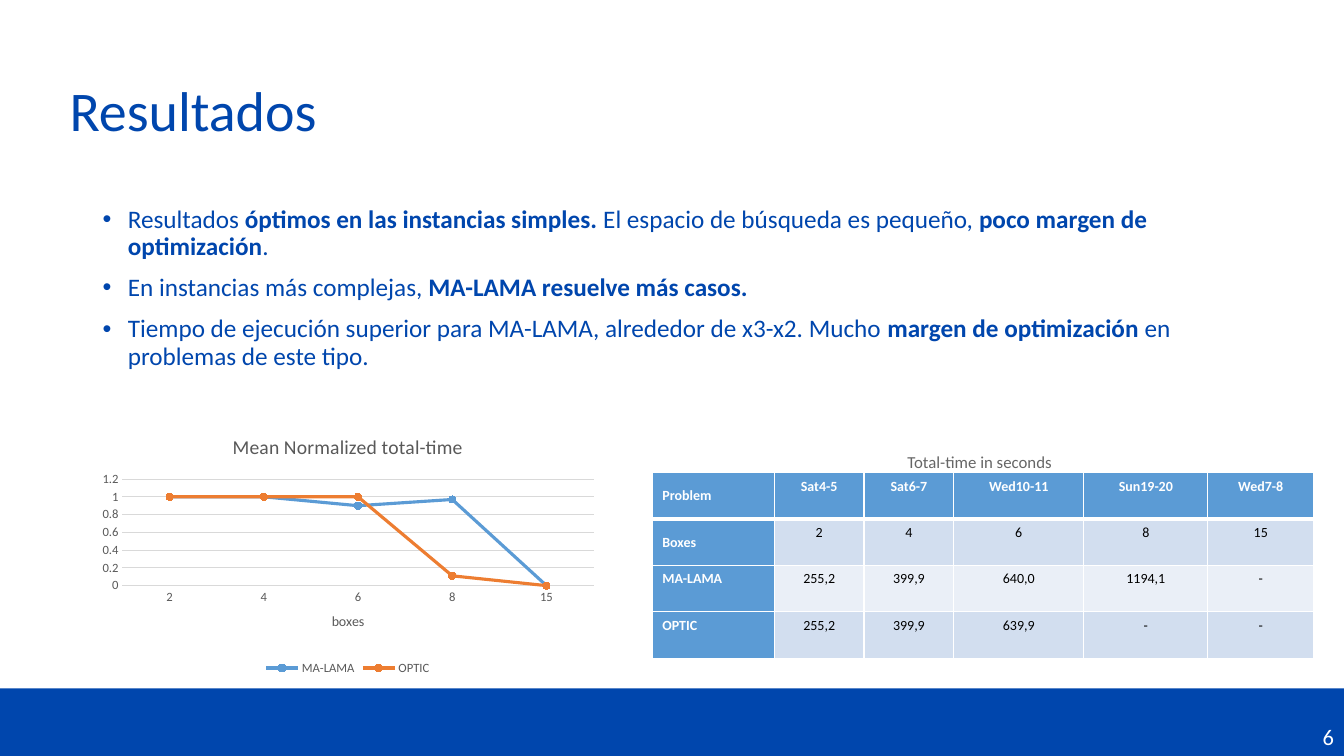
from lxml import etree
from pptx import Presentation
from pptx.chart import data as chart_data
from pptx.dml.color import RGBColor
from pptx.enum import chart as ch, shapes, text
from pptx.oxml import ns
from pptx.util import Inches, Pt

FONT = "Calibri"
BLUE = RGBColor(0x00, 0x46, 0xAD)
WHITE = RGBColor(0xFF, 0xFF, 0xFF)
BLACK = RGBColor(0, 0, 0)
GRAY = RGBColor(0x59, 0x59, 0x59)
CAPTION_GRAY = RGBColor(0x66, 0x66, 0x66)
GRID = RGBColor(0xD9, 0xD9, 0xD9)
ACCENT = RGBColor(0x5B, 0x9B, 0xD5)
ORANGE = RGBColor(0xED, 0x7D, 0x31)
BAND_DARK = RGBColor(0xD2, 0xDE, 0xEF)
BAND_LIGHT = RGBColor(0xEA, 0xEF, 0xF7)

TITLE = "Resultados"
BULLETS = [
    [("Resultados ", False), ("óptimos en las instancias simples. ", True),
     ("El espacio de búsqueda es pequeño, ", False),
     ("poco margen de optimización", True), (".", False)],
    [("En instancias más complejas, ", False),
     ("MA-LAMA resuelve más casos.", True)],
    [("Tiempo de ejecución superior para MA-LAMA, alrededor de x3-x2. Mucho ", False),
     ("margen de optimización ", True), ("en problemas de este tipo.", False)],
]
CHART_TITLE = "Mean Normalized total-time"
AXIS_TITLE = "boxes"
BOXES = ["2", "4", "6", "8", "15"]
SERIES = [("MA-LAMA", (1, 1, 0.9, 0.97, 0), ACCENT),
          ("OPTIC", (1, 1, 1, 0.11, 0), ORANGE)]
PLOT_LAYOUT = {"layoutTarget": "inner", "xMode": "edge", "yMode": "edge",
               "x": "0.06", "y": "0.23", "w": "0.92", "h": "0.41"}
CAPTION = "Total-time in seconds"
TIMES = [
    ["Problem", "Sat4-5", "Sat6-7", "Wed10-11", "Sun19-20", "Wed7-8"],
    ["Boxes"] + BOXES,
    ["MA-LAMA", "255,2", "399,9", "640,0", "1194,1", "-"],
    ["OPTIC", "255,2", "399,9", "639,9", "-", "-"],
]
COLUMN_WIDTHS = [1.21, 0.89, 0.89, 1.29, 1.23, 1.05]
ROW_HEIGHT = 0.46
PAGE = "6"


def style(font, size, color, bold=False):
    font.name, font.size, font.bold = FONT, Pt(size), bold
    font.color.rgb = color


def add_bullet(paragraph):
    props = paragraph._p.get_or_add_pPr()
    props.set("marL", str(Inches(0.25)))
    props.set("indent", str(-Inches(0.25)))
    etree.SubElement(props, ns.qn("a:buFont"), typeface="Arial")
    etree.SubElement(props, ns.qn("a:buChar"), char="•")


def add_borders(cell, bottom):
    props = cell._tc.get_or_add_tcPr()
    widths = {"a:lnL": 1, "a:lnR": 1, "a:lnT": 1, "a:lnB": bottom}
    for index, (side, width) in enumerate(widths.items()):
        line = etree.Element(ns.qn(side), w=str(Pt(width)))
        fill = etree.SubElement(line, ns.qn("a:solidFill"))
        etree.SubElement(fill, ns.qn("a:srgbClr"), val=str(WHITE))
        props.insert(index, line)


def place_plot(chart):
    area = chart.element.find(".//" + ns.qn("c:plotArea"))
    for old in area.findall(ns.qn("c:layout")):
        area.remove(old)
    layout = etree.Element(ns.qn("c:layout"))
    manual = etree.SubElement(layout, ns.qn("c:manualLayout"))
    for tag, value in PLOT_LAYOUT.items():
        etree.SubElement(manual, ns.qn("c:" + tag), val=value)
    area.insert(0, layout)


def add_footer(slide):
    band = slide.shapes.add_shape(shapes.MSO_SHAPE.RECTANGLE, 0, Inches(6.83),
                                  Inches(13.33), Inches(0.71))
    band.shadow.inherit = False
    band.fill.solid()
    band.fill.fore_color.rgb = BLUE
    band.line.fill.background()
    frame = band.text_frame
    frame.text = PAGE
    frame.vertical_anchor = text.MSO_ANCHOR.BOTTOM
    frame.margin_bottom = Inches(0.1)
    frame.paragraphs[0].alignment = text.PP_ALIGN.RIGHT
    style(frame.paragraphs[0].runs[0].font, 16, WHITE)


def add_title(slide):
    title = slide.shapes.title
    title.left, title.top = Inches(0.59), Inches(0.4)
    title.width, title.height = Inches(11.83), Inches(1.45)
    frame = title.text_frame
    frame.text = TITLE
    frame.vertical_anchor = text.MSO_ANCHOR.MIDDLE
    heading = frame.paragraphs[0]
    heading.alignment = text.PP_ALIGN.LEFT
    heading.line_spacing = 0.9
    style(heading.runs[0].font, 40, BLUE)


def add_bullets(slide):
    frame = slide.shapes.add_textbox(Inches(0.92), Inches(2), Inches(11.5),
                                     Inches(4.76)).text_frame
    frame.word_wrap = True
    for index, pieces in enumerate(BULLETS):
        paragraph = frame.add_paragraph() if index else frame.paragraphs[0]
        paragraph.line_spacing = 0.9
        paragraph.space_before = Pt(10)
        add_bullet(paragraph)
        for wording, bold in pieces:
            run = paragraph.add_run()
            run.text = wording
            style(run.font, 18, BLUE, bold)


def add_time_chart(slide):
    data = chart_data.CategoryChartData()
    data.categories = BOXES
    for name, values, _ in SERIES:
        data.add_series(name, values)
    chart = slide.shapes.add_chart(ch.XL_CHART_TYPE.LINE_MARKERS, Inches(0.91), Inches(4.16),
                                   Inches(5.08), Inches(2.58), data).chart
    style(chart.font, 10, BLACK)
    titles = [(chart, CHART_TITLE, 14), (chart.category_axis, AXIS_TITLE, 10)]
    for owner, wording, size in titles:
        owner.has_title = True
        title_frame = (chart.chart_title if owner is chart else owner.axis_title).text_frame
        title_frame.text = wording
        style(title_frame.paragraphs[0].runs[0].font, size, GRAY)
    chart.has_legend = True
    chart.legend.position = ch.XL_LEGEND_POSITION.BOTTOM
    chart.legend.include_in_layout = False
    style(chart.legend.font, 9, GRAY)
    for axis in (chart.category_axis, chart.value_axis):
        axis.major_tick_mark = axis.minor_tick_mark = ch.XL_TICK_MARK.NONE
        style(axis.tick_labels.font, 9, GRAY)
    scale = chart.value_axis
    scale.minimum_scale, scale.maximum_scale, scale.major_unit = 0, 1.2, 0.2
    scale.tick_labels.number_format = "General"
    scale.tick_labels.number_format_is_linked = False
    scale.format.line.fill.background()
    for line in (scale.major_gridlines.format.line, chart.category_axis.format.line):
        line.color.rgb, line.width = GRID, Pt(0.75)
    chart.plots[0].vary_by_categories = False
    for series, (_, _, color) in zip(chart.plots[0].series, SERIES):
        series.smooth = False
        series.format.line.color.rgb = color
        series.format.line.width = Pt(2.25)
        series.marker.style, series.marker.size = ch.XL_MARKER_STYLE.CIRCLE, 5
        series.marker.format.fill.solid()
        series.marker.format.fill.fore_color.rgb = color
        series.marker.format.line.color.rgb = color
    place_plot(chart)


def add_time_table(slide):
    table = slide.shapes.add_table(len(TIMES), len(COLUMN_WIDTHS), Inches(6.47), Inches(4.69),
                                   Inches(sum(COLUMN_WIDTHS)),
                                   Inches(ROW_HEIGHT * len(TIMES))).table
    table.first_col = True
    for column, width in zip(table.columns, COLUMN_WIDTHS):
        column.width = Inches(width)
    for r, row in enumerate(TIMES):
        for c, wording in enumerate(row):
            cell, header = table.cell(r, c), r == 0 or c == 0
            cell.text = wording
            cell.fill.solid()
            cell.fill.fore_color.rgb = ACCENT if header else BAND_DARK if r % 2 else BAND_LIGHT
            if c == 0 and r < 2:
                cell.vertical_anchor = text.MSO_ANCHOR.MIDDLE
            paragraph = cell.text_frame.paragraphs[0]
            paragraph.alignment = text.PP_ALIGN.CENTER if c else text.PP_ALIGN.LEFT
            style(paragraph.runs[0].font, 10, WHITE if header else BLACK, header)
            add_borders(cell, 1 if r else 3)


def add_caption(slide):
    frame = slide.shapes.add_textbox(Inches(9), Inches(4.48), Inches(2.76),
                                     Inches(0.51)).text_frame
    frame.word_wrap = True
    frame.margin_left = frame.margin_top = frame.margin_right = frame.margin_bottom = 0
    frame.text = CAPTION
    caption = frame.paragraphs[0]
    caption.space_before = caption.space_after = Pt(3)
    style(caption.runs[0].font, 12, CAPTION_GRAY)


def main():
    deck = Presentation()
    deck.slide_width, deck.slide_height = Inches(13.33), Inches(7.5)
    slide = deck.slides.add_slide(deck.slide_layouts[5])
    for add_part in (add_footer, add_title, add_bullets, add_time_chart,
                     add_time_table, add_caption):
        add_part(slide)
    deck.save("out.pptx")


if __name__ == "__main__":
    main()
